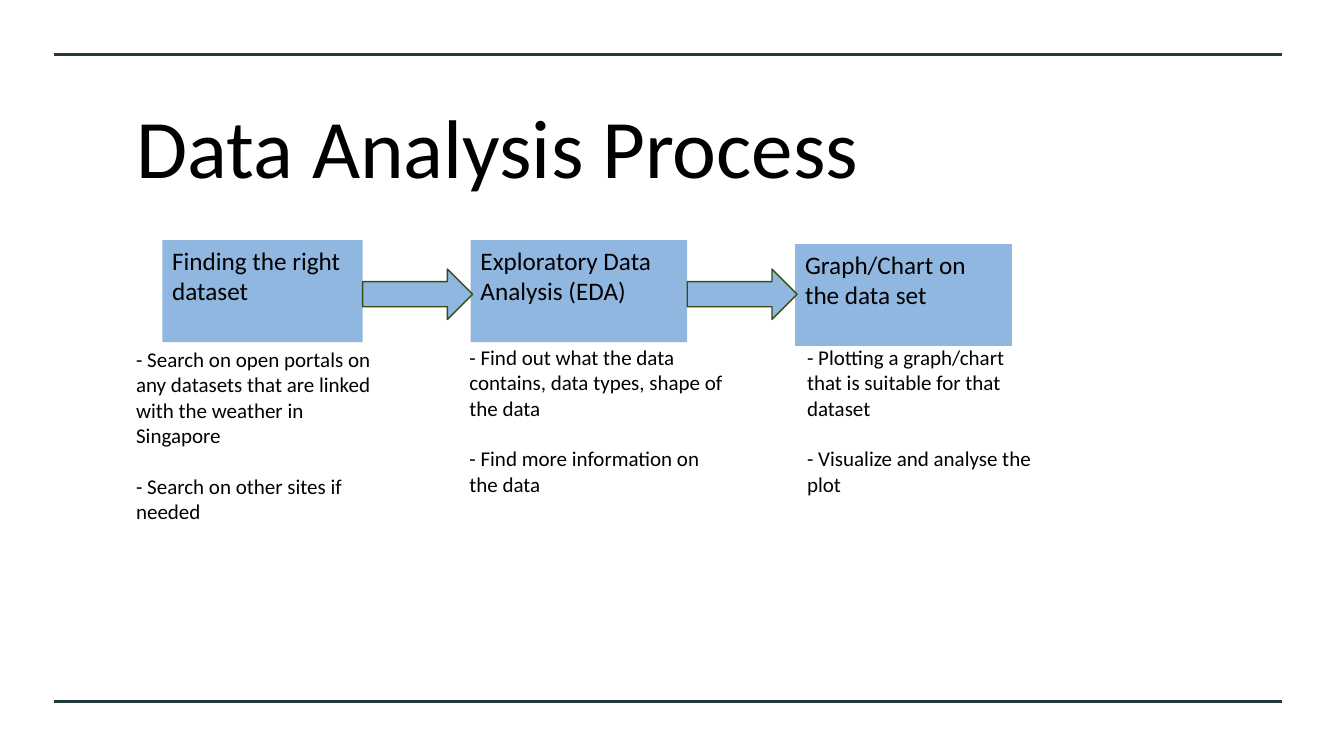
from lxml.etree import SubElement
from pptx import Presentation
from pptx.dml.color import RGBColor
from pptx.enum.shapes import MSO_CONNECTOR as Connector, MSO_SHAPE as Shape
from pptx.enum.text import MSO_ANCHOR as Anchor, MSO_AUTO_SIZE as AutoSize, PP_ALIGN as Align
from pptx.oxml.ns import qn
from pptx.util import Cm, Pt

INK, RULE, STEP, ARROW_EDGE = "000000", "223A3C", "90B7DF", "364E16"
FRAME = {"word_wrap": True, "vertical_anchor": Anchor.TOP, "auto_size": AutoSize.NONE}
TITLE_BOX = (3.18, 2.41, 27.51, 2.49)
RULE_TOPS = (1.37, 17.68)
STEPS = [
    ("Finding the right dataset", (4.09, 6.05, 5.05, 2.57)),
    ("Exploratory Data Analysis (EDA)", (11.86, 6.05, 5.46, 2.57)),
    ("Graph/Chart on the data set", (20.04, 6.15, 5.46, 2.57)),
]
DETAILS = [
    (["- Search on open portals on any datasets that are linked with the weather in Singapore",
      "- Search on other sites if needed"], (3.18, 8.61, 6.55, 4.75)),
    (["- Find out what the data contains, data types, shape of the data",
      "- Find more information on the data"], (11.58, 8.56, 6.99, 4.11)),
    (["- Plotting a graph/chart that is suitable for that dataset",
      "- Visualize and analyse the plot"], (20.09, 8.56, 6.27, 4.11)),
]


def rgb(code):
    """Turn a hex string into a colour."""
    return RGBColor.from_string(code)


def lengths(values):
    """Turn centimetre values into lengths."""
    return [Cm(value) for value in values]


def apply_format(target, values):
    """Set every attribute named in a dict of format values."""
    for name, value in values.items():
        setattr(target, name, value)


def write(frame, lines, size, gap=0, **frame_values):
    """Fill a text frame with one left-aligned paragraph per line."""
    apply_format(frame, {**FRAME, **frame_values})
    for index, line in enumerate(lines):
        paragraph = frame.paragraphs[0] if index == 0 else frame.add_paragraph()
        apply_format(paragraph, {"alignment": Align.LEFT,
                                 "space_before": Pt(gap if index else 0)})
        run = paragraph.add_run()
        run.text = line
        apply_format(run.font, {"name": "Calibri", "size": Pt(size)})
        run.font.color.rgb = rgb(INK)


def add_rule(slide, top):
    """Draw a horizontal rule across the slide."""
    rule = slide.shapes.add_connector(Connector.STRAIGHT, *lengths((1.35, top, 32.31, top)))
    rule.line.color.rgb = rgb(RULE)
    rule.line.width = Pt(2.25)
    SubElement(rule.element.spPr, qn("a:effectLst"))


def add_block(slide, kind, box, edge=None):
    """Add a filled shape, outlined only when an edge colour is given."""
    block = slide.shapes.add_shape(kind, *lengths(box))
    block.shadow.inherit = False
    block.fill.solid()
    block.fill.fore_color.rgb = rgb(STEP)
    if edge:
        block.line.color.rgb = rgb(edge)
        block.line.width = Pt(1)
    else:
        block.line.fill.background()
    return block


def add_title(slide, text):
    """Place and fill the title placeholder."""
    title = slide.shapes.title
    apply_format(title, dict(zip(("left", "top", "width", "height"), lengths(TITLE_BOX))))
    write(title.text_frame, [text], 59.4, vertical_anchor=Anchor.MIDDLE)


def add_details(slide, lines, box):
    """Add the notes that belong under a step."""
    details = slide.shapes.add_textbox(*lengths(box))
    write(details.text_frame, lines, 15, gap=18.3, auto_size=AutoSize.SHAPE_TO_FIT_TEXT)


def main():
    """Build and save the slide."""
    deck = Presentation()
    apply_format(deck, {"slide_width": Cm(33.87), "slide_height": Cm(19.05)})
    slide = deck.slides.add_slide(deck.slide_layouts[5])
    for top in RULE_TOPS:
        add_rule(slide, top)
    add_title(slide, "Data Analysis Process")
    for label, box in STEPS:
        write(add_block(slide, Shape.RECTANGLE, box).text_frame, [label], 18)
    for _, (left, _, width, _) in STEPS[:-1]:
        add_block(slide, Shape.RIGHT_ARROW, (left + width, 6.78, 2.77, 1.27), ARROW_EDGE)
    for lines, box in DETAILS:
        add_details(slide, lines, box)
    deck.save("out.pptx")


if __name__ == "__main__":
    main()
